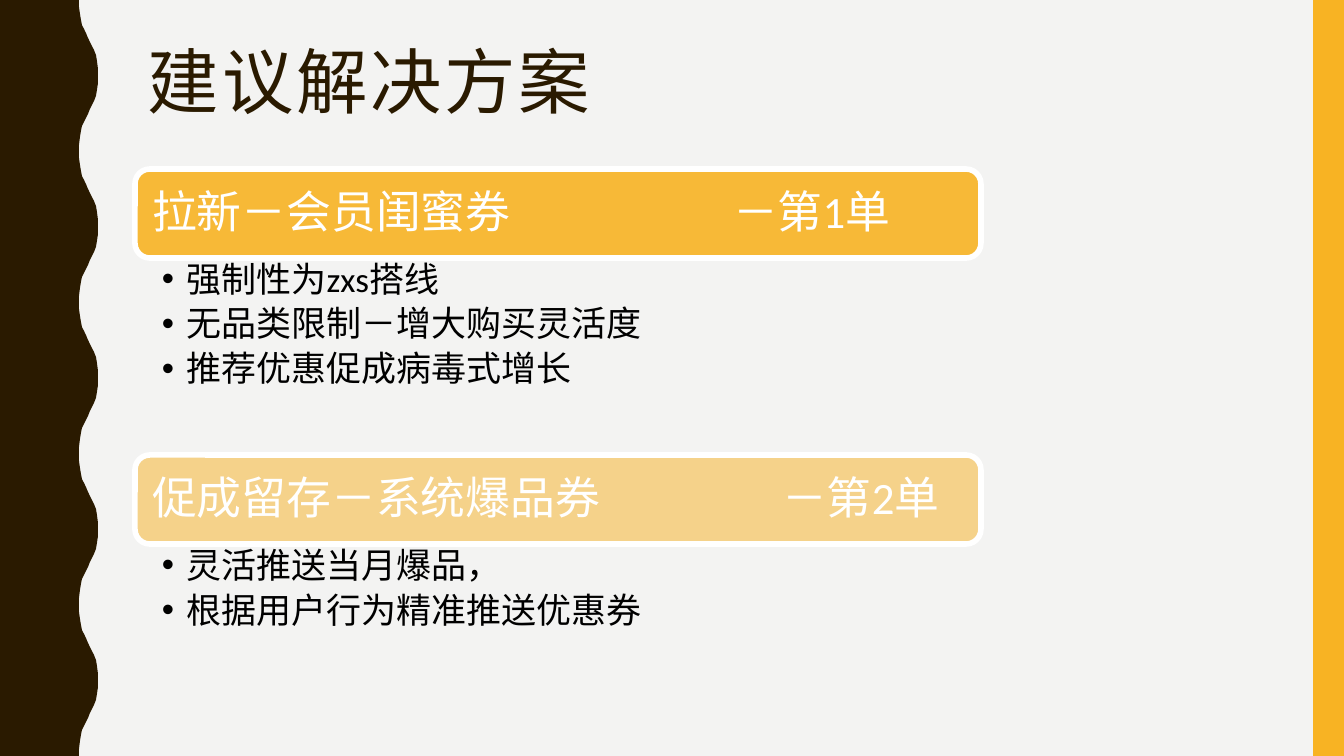
from lxml import etree
from pptx import Presentation
from pptx.dml.color import RGBColor
from pptx.enum.shapes import MSO_SHAPE
from pptx.enum.text import MSO_ANCHOR
from pptx.oxml.ns import qn
from pptx.util import Pt

PX = 914400 / 100.8
WIDE, HIGH = 1344, 756
RECT, ROUND = MSO_SHAPE.RECTANGLE, MSO_SHAPE.ROUNDED_RECTANGLE
TOP, MID = MSO_ANCHOR.TOP, MSO_ANCHOR.MIDDLE

PAPER = RGBColor(0xF3, 0xF3, 0xF2)
BROWN = RGBColor(0x2A, 0x1A, 0x00)
GOLD = RGBColor(0xF8, 0xB3, 0x23)
WHITE = RGBColor(0xFF, 0xFF, 0xFF)
BLACK = RGBColor(0x00, 0x00, 0x00)

TITLE = {"name": "Arial Narrow", "size": Pt(51), "color": BROWN}
HEAD = {"name": "Calibri", "size": Pt(32), "color": WHITE}
BODY = {"name": "Calibri", "size": Pt(25), "color": BLACK}

# Half a wave of the left edge: across and down
WAVE_X = [79, 79, 80, 81, 82, 84, 86, 88, 90, 92, 94, 96, 97, 98, 98]
WAVE_Y = [0, 7, 14, 20, 25, 29, 33, 38, 42, 46, 50, 55, 61, 69, 76]
HALVES = 10

# Top, opacity, header, tab stop, bullets
PLANS = [
    (169, 90, "拉新－会员闺蜜券\t－第1单", 581,
     ["强制性为zxs搭线", "无品类限制－增大购买灵活度", "推荐优惠促成病毒式增长"]),
    (455, 50, "促成留存－系统爆品券\t－第2单", 630,
     ["灵活推送当月爆品，", "根据用户行为精准推送优惠券"]),
]
LEFT, SPAN, BAR = 135, 846, 89


def emu(px):
    return round(px * PX)


def paint(shape, color):
    shape.shadow.inherit = False
    shape.fill.solid()
    shape.fill.fore_color.rgb = color
    shape.line.fill.background()


def block(slide, kind, box, color):
    shape = slide.shapes.add_shape(kind, *map(emu, box))
    paint(shape, color)
    return shape


def wave(slide):
    points = []
    for half in range(HALVES):
        across = WAVE_X[::-1] if half % 2 else WAVE_X
        start = half * HIGH / HALVES
        points += [(x, round(start + y)) for x, y in zip(across, WAVE_Y)]
    form = slide.shapes.build_freeform(0, 0, scale=PX)
    form.add_line_segments(points + [(0, HIGH)], close=True)
    paint(form.convert_to_shape(), BROWN)


def text(slide, box, lines, style, pads, anchor=TOP, after=0):
    frame = slide.shapes.add_textbox(*map(emu, box)).text_frame
    sides = ("margin_left", "margin_top", "margin_right", "margin_bottom")
    form = {"word_wrap": True, "vertical_anchor": anchor}
    form.update(zip(sides, map(emu, pads)))
    for key, value in form.items():
        setattr(frame, key, value)
    for i, line in enumerate(lines):
        para = frame.add_paragraph() if i else frame.paragraphs[0]
        para.line_spacing = 0.9
        para.space_after = Pt(after)
        run = para.add_run()
        run.text = line
        for key, value in style.items():
            if key == "color":
                run.font.color.rgb = value
            else:
                setattr(run.font, key, value)
    return frame.paragraphs


def bullet(para):
    props = para._p.get_or_add_pPr()
    props.set("marL", str(emu(25)))
    props.set("indent", str(-emu(25)))
    font = etree.SubElement(props, qn("a:buFont"))
    font.set("typeface", "Arial")
    etree.SubElement(props, qn("a:buChar")).set("char", "•")


def tab(para, stop):
    tabs = etree.SubElement(para._p.get_or_add_pPr(), qn("a:tabLst"))
    mark = etree.SubElement(tabs, qn("a:tab"))
    mark.set("pos", str(emu(stop)))
    mark.set("algn", "l")


def plan(slide, top, alpha, head, stop, items):
    # Header bar
    bar = block(slide, ROUND, (LEFT, top, SPAN, BAR), GOLD)
    bar.line.color.rgb = WHITE
    bar.line.width = Pt(4)
    tint = bar.fill._xPr.find(qn("a:solidFill"))[0]
    etree.SubElement(tint, qn("a:alpha")).set("val", str(alpha * 1000))
    label = (LEFT + 4, top + 5, SPAN - 9, BAR - 9)
    tab(text(slide, label, [head], HEAD, [13] * 4, MID)[0], stop)
    # Bullets
    area = (LEFT, top + BAR, SPAN, 48 * len(items) + 50)
    for para in text(slide, area, items, BODY, (27, 4, 25, 4), after=5):
        bullet(para)


def main():
    deck = Presentation()
    deck.slide_width, deck.slide_height = emu(WIDE), emu(HIGH)
    slide = deck.slides.add_slide(deck.slide_layouts[6])

    # Backdrop
    slide.background.fill.solid()
    slide.background.fill.fore_color.rgb = PAPER
    wave(slide)
    block(slide, RECT, (1313, 0, 31, HIGH), GOLD)

    # Title
    title = text(slide, (138, 42, 1122, 164), ["建议解决方案"], TITLE,
                 (10, 5, 10, 5))
    title[0].runs[0]._r.get_or_add_rPr().set("spc", "200")

    # Plans
    for row in PLANS:
        plan(slide, *row)

    deck.save("out.pptx")


main()
